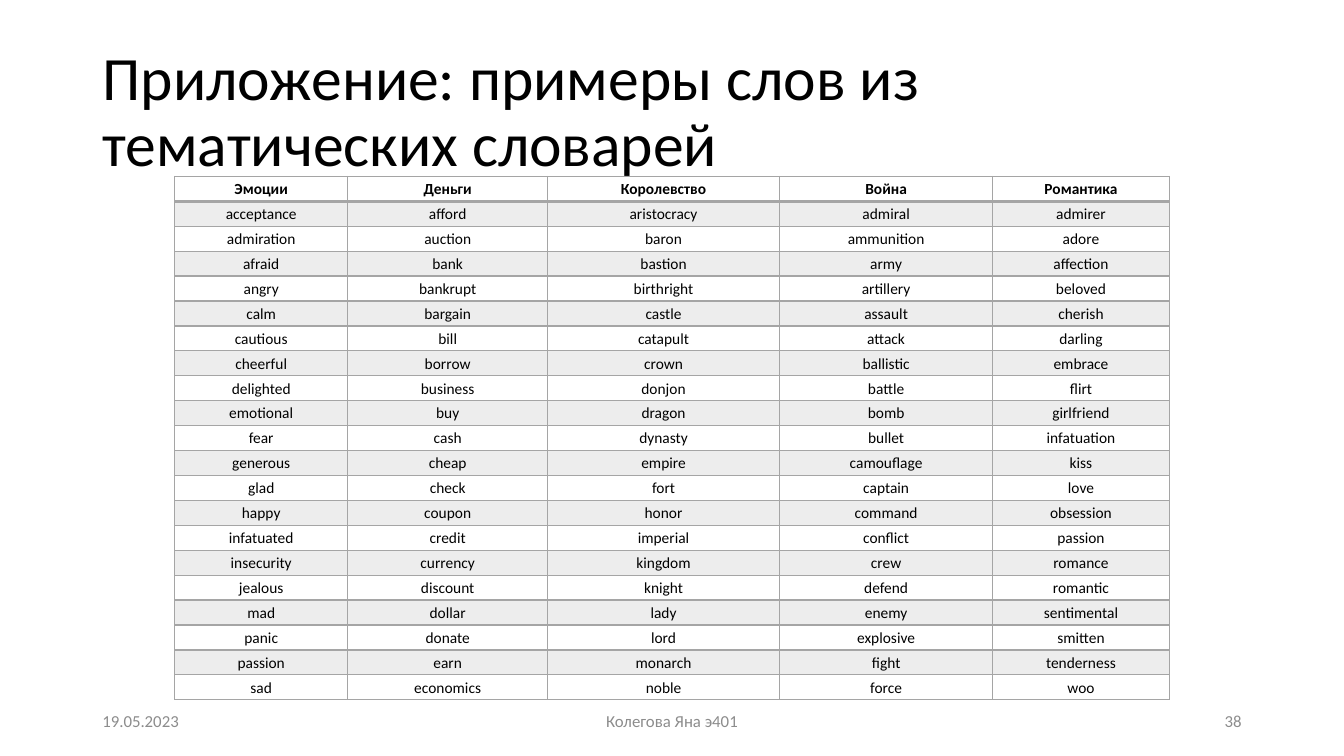
from dataclasses import dataclass

from lxml.etree import SubElement
from pptx import Presentation
from pptx.dml.color import RGBColor
from pptx.enum.text import MSO_ANCHOR, MSO_AUTO_SIZE, PP_ALIGN
from pptx.oxml.ns import qn
from pptx.util import Inches, Pt

TITLE = "Приложение: примеры слов из тематических словарей"
HEADERS = ["Эмоции", "Деньги", "Королевство", "Война", "Романтика"]
WORDS = """
acceptance afford aristocracy admiral admirer
admiration auction baron ammunition adore
afraid bank bastion army affection
angry bankrupt birthright artillery beloved
calm bargain castle assault cherish
cautious bill catapult attack darling
cheerful borrow crown ballistic embrace
delighted business donjon battle flirt
emotional buy dragon bomb girlfriend
fear cash dynasty bullet infatuation
generous cheap empire camouflage kiss
glad check fort captain love
happy coupon honor command obsession
infatuated credit imperial conflict passion
insecurity currency kingdom crew romance
jealous discount knight defend romantic
mad dollar lady enemy sentimental
panic donate lord explosive smitten
passion earn monarch fight tenderness
sad economics noble force woo
"""
COLUMN_WIDTHS = [20.6, 23.8, 27.6, 25.4, 21]


@dataclass(frozen=True)
class Theme:
    font: str = "Calibri"
    text: str = "000000"
    muted: str = "8C8C8C"
    grid: str = "A5A5A5"
    band_alpha: int = 20
    title_size: int = 44
    table_size: int = 11
    footer_size: int = 12


class SlideBuilder:
    """Places elements on a grid of 160 columns by 90 rows."""

    def __init__(self, prs, theme):
        self.theme = theme
        self.col = prs.slide_width / 160
        self.row = prs.slide_height / 90
        self.slide = prs.slides.add_slide(prs.slide_layouts[5])

    def box(self, x, y, w, h):
        return (round(x * self.col), round(y * self.row),
                round(w * self.col), round(h * self.row))

    def set_text(self, tf, text, size, color, align=PP_ALIGN.LEFT, bold=False):
        tf.text = text
        p = tf.paragraphs[0]
        p.alignment = align
        font = p.runs[0].font
        font.name, font.size, font.bold = self.theme.font, Pt(size), bold
        font.color.rgb = RGBColor.from_string(color)
        return p

    def title(self, text, *area):
        sp = self.slide.shapes.title
        sp.left, sp.top, sp.width, sp.height = self.box(*area)
        tf = sp.text_frame
        p = self.set_text(tf, text, self.theme.title_size, self.theme.text)
        p.line_spacing = 0.9
        tf.word_wrap = True
        tf.auto_size = MSO_AUTO_SIZE.NONE
        tf.vertical_anchor = MSO_ANCHOR.MIDDLE

    def footer(self, text, align, *area):
        tf = self.slide.shapes.add_textbox(*self.box(*area)).text_frame
        tf.word_wrap = True
        tf.vertical_anchor = MSO_ANCHOR.MIDDLE
        self.set_text(tf, text, self.theme.footer_size, self.theme.muted, align)

    def table(self, rows, widths, x, y, h):
        area = self.box(x, y, sum(widths), h)
        table = self.slide.shapes.add_table(len(rows), len(widths), *area).table
        table.horz_banding = False
        for column, width in zip(table.columns, widths):
            column.width = round(width * self.col)
        for i, words in enumerate(rows):
            table.rows[i].height = round(h * self.row / len(rows))
            for j, word in enumerate(words):
                self.cell(table.cell(i, j), word, i)

    def cell(self, cell, word, row):
        is_header = row == 0
        cell.margin_left = cell.margin_right = cell.margin_top = Inches(0.01)
        cell.margin_bottom = 0
        cell.vertical_anchor = MSO_ANCHOR.MIDDLE
        self.set_text(cell.text_frame, word, self.theme.table_size,
                      self.theme.text, PP_ALIGN.CENTER, is_header)
        tc_pr = cell._tc.get_or_add_tcPr()
        self.borders(tc_pr, top=2 if row == 1 else 1, bottom=2 if is_header else 1)
        if row % 2:
            cell.fill.solid()
            cell.fill.fore_color.rgb = RGBColor.from_string(self.theme.grid)
            color = tc_pr.find(f"{qn('a:solidFill')}/{qn('a:srgbClr')}")
            SubElement(color, qn("a:alpha"), val=str(self.theme.band_alpha * 1000))
        else:
            cell.fill.background()

    def borders(self, tc_pr, top, bottom):
        for side, width in zip("LRTB", (1, 1, top, bottom)):
            ln = SubElement(tc_pr, qn(f"a:ln{side}"), w=str(int(Pt(width))))
            fill = SubElement(ln, qn("a:solidFill"))
            SubElement(fill, qn("a:srgbClr"), val=self.theme.grid)


def main():
    prs = Presentation()
    prs.slide_width, prs.slide_height = Inches(13.33), Inches(7.5)
    s = SlideBuilder(prs, Theme())
    s.title(TITLE, 11, 4.8, 138, 17.4)
    rows = [HEADERS] + [line.split() for line in WORDS.strip().splitlines()]
    s.table(rows, COLUMN_WIDTHS, x=20.8, y=21, h=62.4)
    for text, align, x, width in [
        ("19.05.2023", PP_ALIGN.LEFT, 11, 36),
        ("Колегова Яна э401", PP_ALIGN.CENTER, 53, 54),
        ("38", PP_ALIGN.RIGHT, 113, 36),
    ]:
        s.footer(text, align, x, 83.4, width, 4.8)
    prs.save("out.pptx")


if __name__ == "__main__":
    main()
